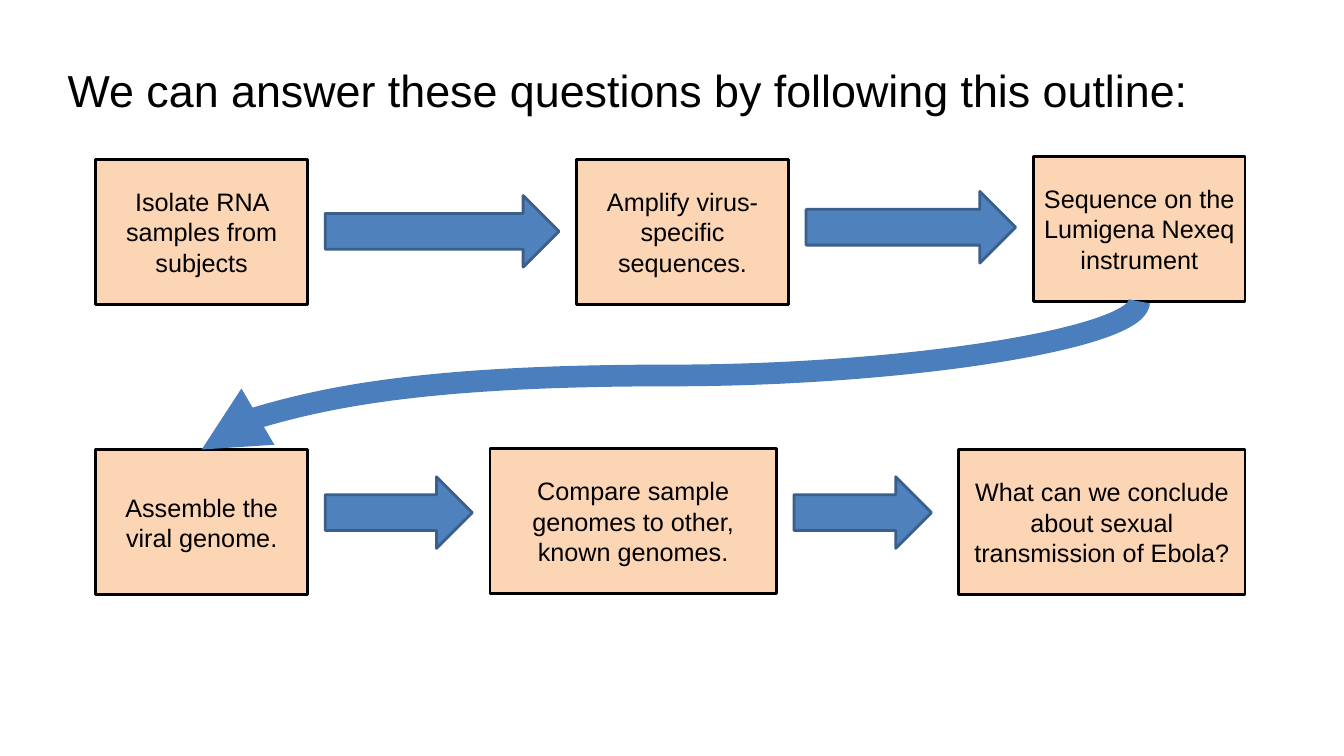
"""Build the slide that outlines the six steps of the viral genome study."""
import pptx
import pptx.util
import pptx.dml.color
import pptx.enum.shapes
import pptx.enum.text
import pptx.oxml
import pptx.oxml.ns

WIDTH = pptx.util.Inches(13.33)
HEIGHT = pptx.util.Inches(7.5)
FONT = "Arial"
COLORS = {"text": "000000", "box": "FCD5B5", "arrow": "4F81BD",
          "arrow_edge": "3A5F8C", "curve": "4B7EBC"}
BOX_ROWS = 19.2
ARROW_ROWS = 9.47
GAP = 1.32
NARROW, WIDE = 15.75, 21.3

SAMPLE_STEPS = [
    ("Isolate RNA samples from subjects", 7.13, 21.07, NARROW),
    ("Amplify virus-specific sequences.", 42.91, 21.07, NARROW),
    ("Sequence on the Lumigena Nexeq instrument", 76.89, 20.67, NARROW),
]
GENOME_STEPS = [
    ("Assemble the viral genome.", 7.13, 59.47, NARROW),
    ("Compare sample genomes to other, known genomes.", 36.46, 59.33, WIDE),
    ("What can we conclude about sexual transmission of Ebola?", 71.34, 59.47, WIDE),
]


def col(n):
    """Return the length of n hundredths of the slide's width."""
    return round(WIDTH * n / 100)


def row(n):
    """Return the length of n hundredths of the slide's height."""
    return round(HEIGHT * n / 100)


def rgb(name):
    """Return the named colour."""
    return pptx.dml.color.RGBColor.from_string(COLORS[name])


def set_text(sp, text, size):
    """Write one middle-anchored paragraph into a shape and return it."""
    tf = sp.text_frame
    tf.word_wrap = True
    tf.vertical_anchor = pptx.enum.text.MSO_ANCHOR.MIDDLE
    tf.text = text
    p = tf.paragraphs[0]
    font = p.runs[0].font
    font.name = FONT
    font.size = pptx.util.Pt(size)
    font.color.rgb = rgb("text")
    return p


def add_title(s, text):
    """Add the slide's heading."""
    sp = s.shapes.add_textbox(col(5.03), row(4), col(90), row(16.67))
    tf = sp.text_frame
    tf.margin_left = tf.margin_right = tf.margin_top = tf.margin_bottom = 0
    set_text(sp, text, 32).line_spacing = 0.9


def add_block(s, kind, left, top, width, height, fill, edge):
    """Add a filled, outlined preset shape placed on the grid."""
    sp = s.shapes.add_shape(kind, col(left), row(top), col(width), row(height))
    sp.shadow.inherit = False
    sp.fill.solid()
    sp.fill.fore_color.rgb = rgb(fill)
    sp.line.color.rgb = rgb(edge)
    sp.line.width = pptx.util.Pt(2)
    return sp


def add_step(s, text, left, top, width):
    """Add a box that names one step."""
    sp = add_block(s, pptx.enum.shapes.MSO_SHAPE.RECTANGLE,
                   left, top, width, BOX_ROWS, "box", "text")
    set_text(sp, text, 18).alignment = pptx.enum.text.PP_ALIGN.CENTER
    return sp


def add_arrow(s, left, right, top):
    """Add a block arrow between two columns."""
    add_block(s, pptx.enum.shapes.MSO_SHAPE.RIGHT_ARROW,
              left, top, right - left, ARROW_ROWS, "arrow", "arrow_edge")


def add_step_row(s, steps, arrow_tops, end_gaps):
    """Add a row of steps with arrows in the gaps and return the boxes."""
    boxes = [add_step(s, *step) for step in steps]
    for before, after, top, gap in zip(steps, steps[1:], arrow_tops, end_gaps):
        add_arrow(s, before[1] + before[3] + GAP, after[1] - gap, top)
    return boxes


def add_curve(s, start, end):
    """Add a curved arrow from the bottom of one box to the top of another."""
    x1, y1 = start.left + start.width // 2, start.top + start.height
    x2, y2 = end.left + end.width // 2, end.top
    run, drop = x1 - x2, y2 - y1
    left = (x1 + x2 - drop) // 2
    top = (y1 + y2 - run) // 2
    cxn = s.shapes.add_connector(pptx.enum.shapes.MSO_CONNECTOR.CURVE,
                                 left, top, left + drop, top + run)
    cxn.line.color.rgb = rgb("curve")
    cxn.line.width = pptx.util.Pt(15.5)
    sp_pr = cxn._element.spPr
    sp_pr.find(pptx.oxml.ns.qn("a:xfrm")).set("rot", str(90 * 60000))
    ns = pptx.oxml.ns.nsdecls("a")
    cxn.line._get_or_add_ln().append(
        pptx.oxml.parse_xml(f'<a:tailEnd {ns} type="triangle"/>'))
    sp_pr.append(pptx.oxml.parse_xml(f"<a:effectLst {ns}/>"))


def main():
    """Build and save the slide."""
    prs = pptx.Presentation()
    prs.slide_width, prs.slide_height = WIDTH, HEIGHT
    s = prs.slides.add_slide(prs.slide_layouts[6])
    add_title(s, "We can answer these questions by following this outline:")
    sample_boxes = add_step_row(s, SAMPLE_STEPS, (25.87, 25.33), (GAP, GAP))
    genome_boxes = add_step_row(s, GENOME_STEPS, (63.07, 63.07), (GAP, 2.03))
    add_curve(s, sample_boxes[-1], genome_boxes[0])
    prs.save("out.pptx")


if __name__ == "__main__":
    main()
